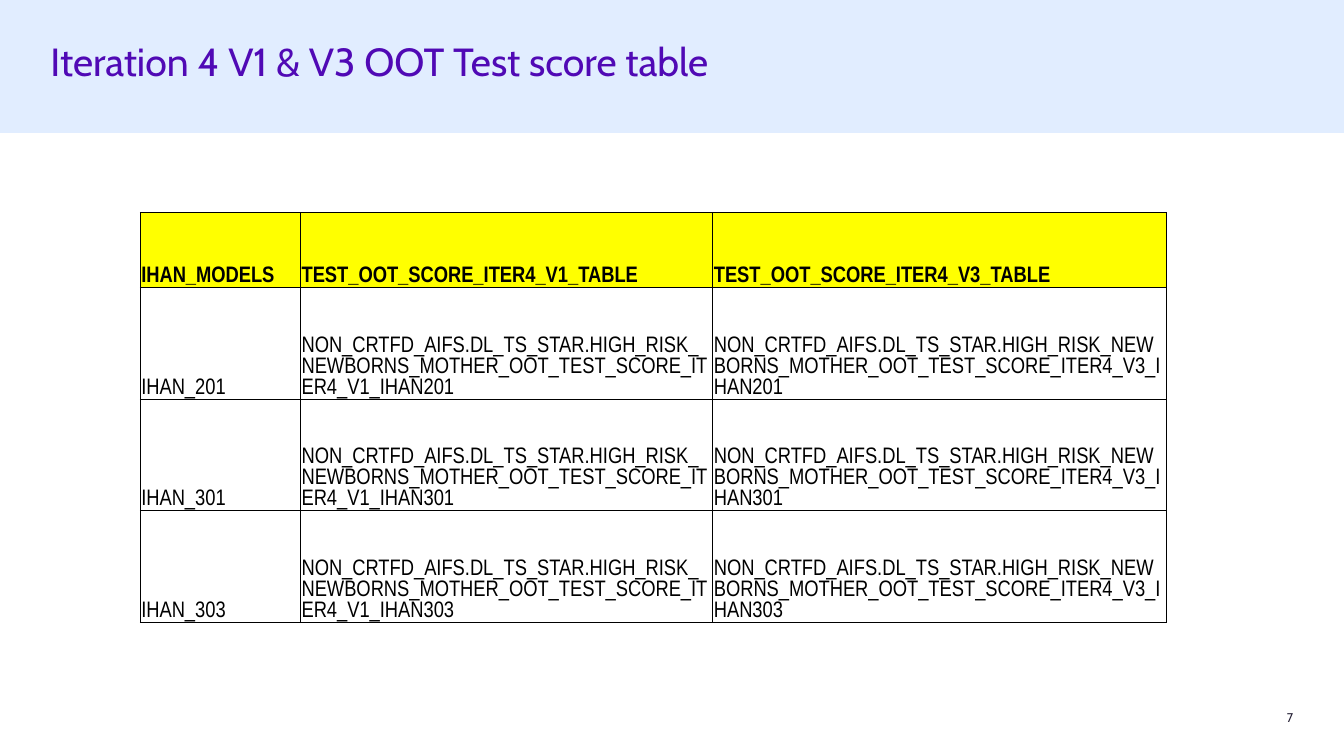
from lxml import etree
from pptx import Presentation
from pptx import util as u
from pptx.dml.color import RGBColor
from pptx.enum import shapes, text
from pptx.oxml import ns


def rgb(code):
    return RGBColor.from_string(code)


def style(para, face, size, color, bold=False):
    look = {"name": face, "size": u.Pt(size), "bold": bold}
    for run in para.runs:
        for key, val in look.items():
            setattr(run.font, key, val)
        run.font.color.rgb = rgb(color)


deck = Presentation()
deck.slide_width, deck.slide_height = u.Cm(33.87), u.Cm(19.05)
slide = deck.slides.add_slide(deck.slide_layouts[5])

band = slide.shapes.add_shape(
    shapes.MSO_SHAPE.RECTANGLE, 0, 0, deck.slide_width, u.Cm(3.35))
band.shadow.inherit = False
band.fill.solid()
band.fill.fore_color.rgb = rgb("E1EDFF")
band.line.fill.background()

title = slide.shapes.title
title._element.addprevious(band._element)
page = slide.shapes.add_textbox(0, 0, 0, 0)

boxes = [
    (title, "Iteration 4 V1 & V3 OOT Test score table", (1.27, 1.07, 31.32, 2.29),
     28, "5009B5", text.PP_ALIGN.LEFT, text.MSO_ANCHOR.TOP, 0.9),
    (page, "7", (31.55, 17.88, 1.04, 0.38),
     9, "231E33", text.PP_ALIGN.RIGHT, text.MSO_ANCHOR.BOTTOM, 1.0),
]
for box, words, place, size, color, align, anchor, space in boxes:
    for key, val in zip(("left", "top", "width", "height"), place):
        setattr(box, key, u.Cm(val))
    frame = box.text_frame
    frame.text = words
    form = {"margin_left": 0, "margin_right": 0, "margin_top": 0,
            "margin_bottom": 0, "word_wrap": True, "vertical_anchor": anchor,
            "auto_size": text.MSO_AUTO_SIZE.NONE}
    for key, val in form.items():
        setattr(frame, key, val)
    para = frame.paragraphs[0]
    para.alignment = align
    para.line_spacing = space
    style(para, "Cabin", size, color)

tests = ("V1", "V3")
rows = [["IHAN_MODELS"] + [f"TEST_OOT_SCORE_ITER4_{test}_TABLE" for test in tests]]
for model in (201, 301, 303):
    rows.append([f"IHAN_{model}"] + [
        "NON_CRTFD_AIFS.DL_TS_STAR.HIGH_RISK_NEWBORNS_MOTHER_OOT_TEST_SCORE_"
        f"ITER4_{test}_IHAN{model}" for test in tests])

widths = (4.04, 10.39, 11.43)
heights = (1.88, 2.81, 2.81, 2.81)
table = slide.shapes.add_table(
    len(rows), len(widths), u.Cm(3.53), u.Cm(5.36),
    u.Cm(sum(widths)), u.Cm(sum(heights))).table
table.first_row = table.horz_banding = False
for col, width in zip(table.columns, widths):
    col.width = u.Cm(width)

inset = {"margin_left": u.Cm(0.03), "margin_right": u.Cm(0.03),
         "margin_top": u.Cm(0.03), "margin_bottom": 0,
         "vertical_anchor": text.MSO_ANCHOR.BOTTOM}
for i, row in enumerate(rows):
    table.rows[i].height = u.Cm(heights[i])
    for j, words in enumerate(row):
        cell = table.cell(i, j)
        cell.text = words
        for key, val in inset.items():
            setattr(cell, key, val)
        props = cell._tc.get_or_add_tcPr()
        for side in ("lnL", "lnR", "lnT", "lnB"):
            line = etree.SubElement(props, ns.qn(f"a:{side}"), w=str(u.Pt(0.5)))
            fill = etree.SubElement(line, ns.qn("a:solidFill"))
            etree.SubElement(fill, ns.qn("a:srgbClr"), val="000000")
        if i == 0:
            cell.fill.solid()
            cell.fill.fore_color.rgb = rgb("FFFF00")
        else:
            cell.fill.background()
        style(cell.text_frame.paragraphs[0], "Arial Narrow", 16, "000000", i == 0)

deck.save("out.pptx")
